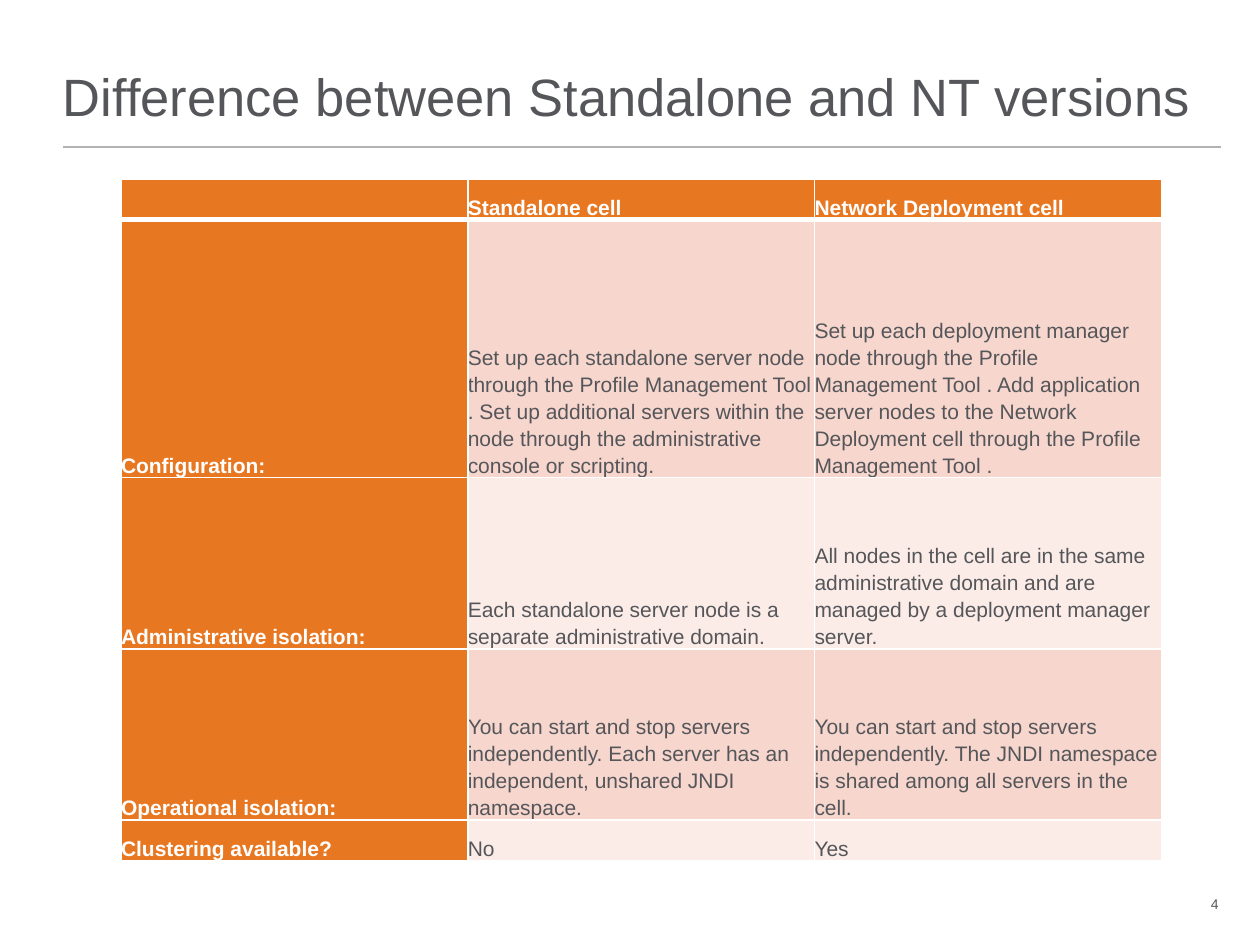
from lxml.etree import SubElement
from pptx import Presentation
from pptx.dml.color import RGBColor
from pptx.enum.shapes import MSO_CONNECTOR
from pptx.enum.text import MSO_ANCHOR, PP_ALIGN
from pptx.oxml.ns import qn
from pptx.util import Cm, Pt

ORANGE, PINK, PALE = "E87722", "F6D6CD", "FBECE8"
GREY, RULE, WHITE = "55565A", "B1B3B3", "FFFFFF"
NO_MARGINS = dict.fromkeys(
    ("margin_left", "margin_top", "margin_right", "margin_bottom"), 0)

COL_WIDTH = 6.99
ROW_HEIGHTS = (0.82, 5.2, 3.45, 3.45, 0.82)
ROWS = (
    ("", "Standalone cell", "Network Deployment cell"),
    ("Configuration:",
     "Set up each standalone server node through the Profile Management Tool . "
     "Set up additional servers within the node through the administrative "
     "console or scripting.",
     "Set up each deployment manager node through the Profile Management Tool . "
     "Add application server nodes to the Network Deployment cell through the "
     "Profile Management Tool ."),
    ("Administrative isolation:",
     "Each standalone server node is a separate administrative domain.",
     "All nodes in the cell are in the same administrative domain and are "
     "managed by a deployment manager server."),
    ("Operational isolation:",
     "You can start and stop servers independently. Each server has an "
     "independent, unshared JNDI namespace.",
     "You can start and stop servers independently. The JNDI namespace is "
     "shared among all servers in the cell."),
    ("Clustering available?", "No", "Yes"),
)


def rgb(color):
    return RGBColor.from_string(color)


def set_attrs(obj, values):
    for name, value in values.items():
        setattr(obj, name, value)


def write(p, text, size, color, bold=False):
    r = p.add_run()
    r.text = text
    set_attrs(r.font, {"name": "Arial", "size": Pt(size), "bold": bold})
    r.font.color.rgb = rgb(color)


def add_text(s, text, box, size, anchor, align=PP_ALIGN.LEFT, wrap=True):
    tf = s.shapes.add_textbox(*map(Cm, box)).text_frame
    set_attrs(tf, {**NO_MARGINS, "word_wrap": wrap, "vertical_anchor": anchor})
    p = tf.paragraphs[0]
    p.alignment = align
    write(p, text, size, GREY)


def add_rule(s, left, right, y):
    line = s.shapes.add_connector(
        MSO_CONNECTOR.STRAIGHT, Cm(left), Cm(y), Cm(right), Cm(y))
    line.line.color.rgb = rgb(RULE)
    line.line.width = Pt(1)
    SubElement(line.element.spPr, qn("a:effectLst"))


def set_borders(cell, widths):
    """Draw white borders; widths in points for left, right, top, bottom."""
    tcPr = cell._tc.get_or_add_tcPr()
    for side, width in zip("LRTB", widths):
        ln = SubElement(tcPr, qn(f"a:ln{side}"), w=str(Pt(width)))
        fill = SubElement(ln, qn("a:solidFill"))
        SubElement(fill, qn("a:srgbClr"), val=WHITE)


def fill_cell(cell, text, row, col):
    is_head = row == 0 or col == 0
    set_attrs(cell, {**NO_MARGINS, "vertical_anchor": MSO_ANCHOR.BOTTOM})
    # The header row is set off by a thicker line
    set_borders(cell, (1, 1, 3 if row == 1 else 1, 3 if row == 0 else 1))
    cell.fill.solid()
    cell.fill.fore_color.rgb = rgb(ORANGE if is_head else PINK if row % 2 else PALE)
    p = cell.text_frame.paragraphs[0]
    p.line_spacing = 1.15
    if text:
        write(p, text, 12, WHITE if is_head else GREY, is_head)
    else:
        p.font.size = Pt(12)


def add_comparison(s, left, top):
    cols = len(ROWS[0])
    table = s.shapes.add_table(
        len(ROWS), cols, Cm(left), Cm(top),
        Cm(cols * COL_WIDTH), Cm(sum(ROW_HEIGHTS))).table
    for column in table.columns:
        column.width = Cm(COL_WIDTH)
    for row, (height, texts) in enumerate(zip(ROW_HEIGHTS, ROWS)):
        table.rows[row].height = Cm(height)
        for col, text in enumerate(texts):
            fill_cell(table.cell(row, col), text, row, col)


def main():
    prs = Presentation()
    set_attrs(prs, {"slide_width": Cm(25.4), "slide_height": Cm(19.05)})
    s = prs.slides.add_slide(prs.slide_layouts[6])
    add_rule(s, 1.27, 24.61, 2.97)
    add_text(s, "Difference between Standalone and NT versions",
             (1.27, 0.84, 23.32, 1.73), 30, MSO_ANCHOR.BOTTOM)
    add_comparison(s, 2.44, 3.61)
    add_text(s, "4", (23.5, 17.88, 1.07, 0.69), 8, MSO_ANCHOR.MIDDLE,
             PP_ALIGN.RIGHT, wrap=False)
    prs.save("out.pptx")


if __name__ == "__main__":
    main()
